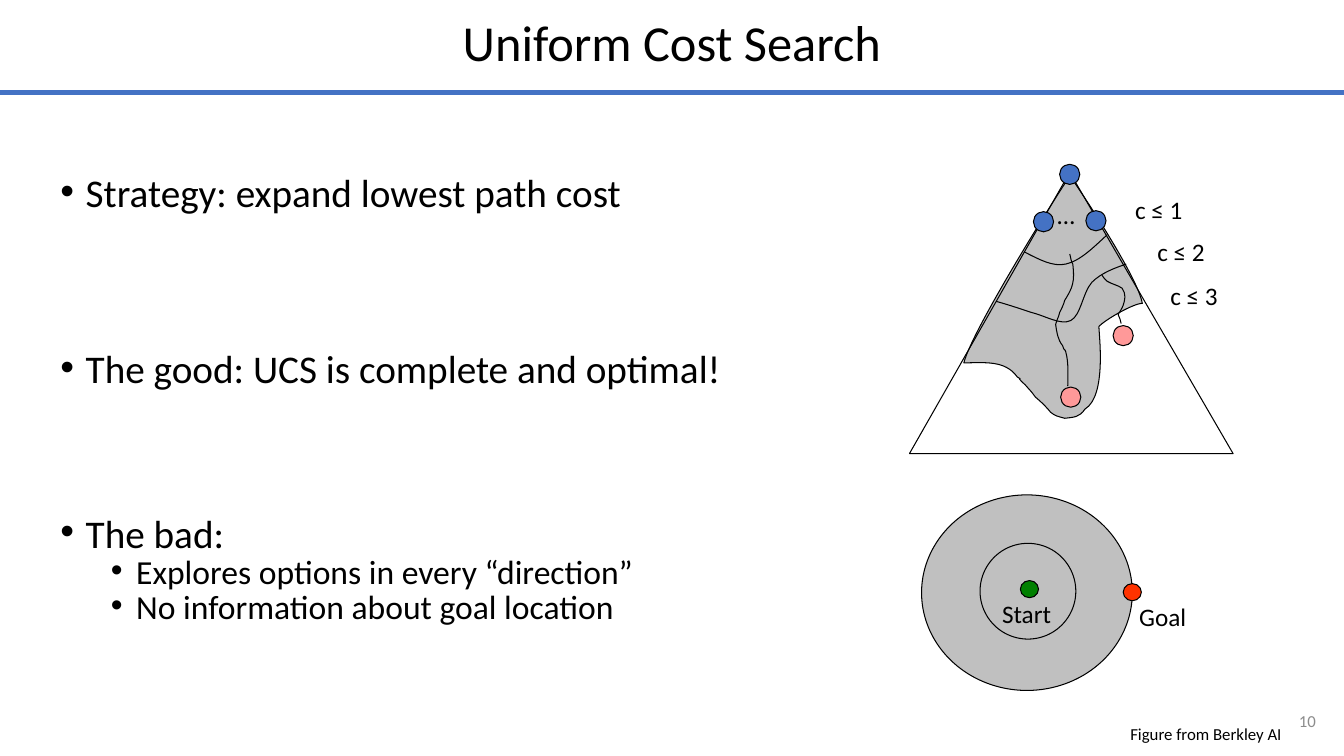
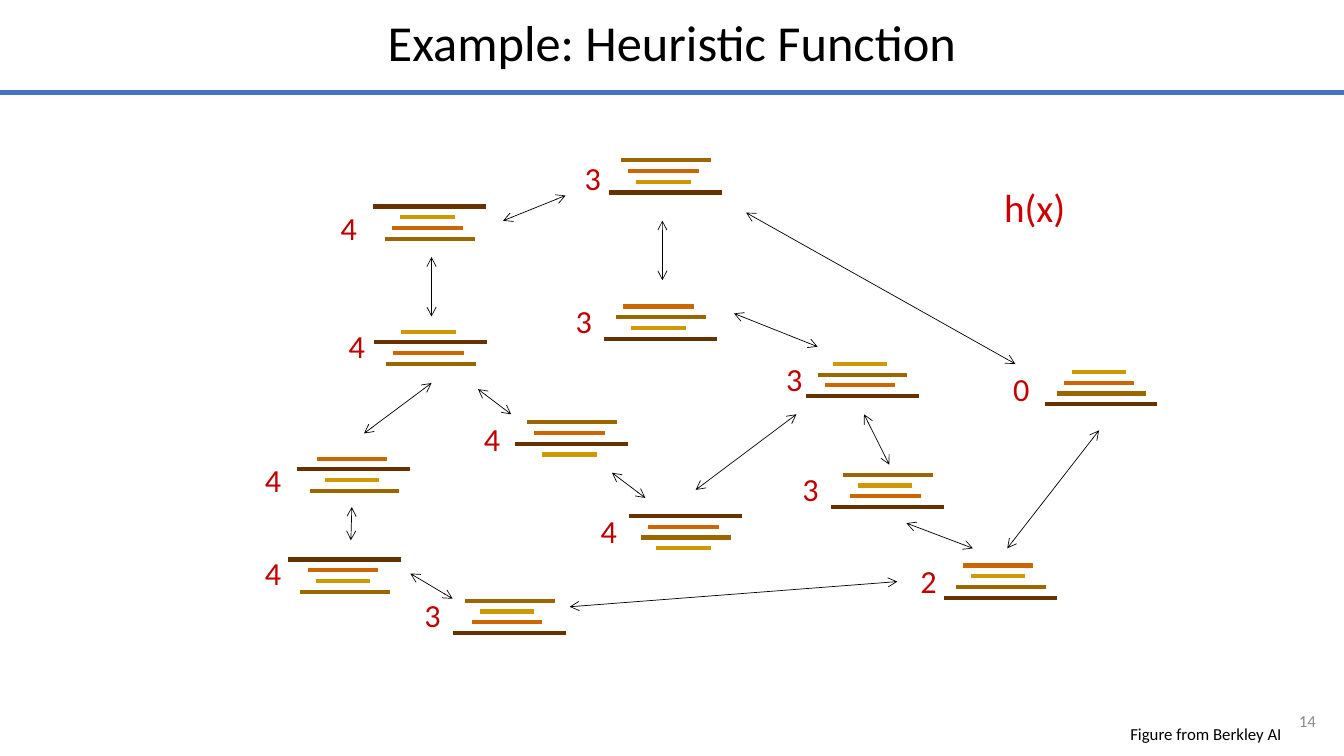
from lxml.etree import SubElement
from pptx import Presentation
from pptx.dml.color import RGBColor
from pptx.enum.shapes import MSO_CONNECTOR as Link, MSO_SHAPE as Form
from pptx.enum.text import MSO_ANCHOR as Anchor, MSO_AUTO_SIZE as Fit, PP_ALIGN as Align
from pptx.oxml.ns import qn
from pptx.util import Inches, Pt

WIDE, HIGH = 13.33, 7.5
FONT = "Calibri"
CREDIT = "Figure from Berkley AI"
HUES = {
    "ink": "000000", "page": "8C8C8C", "blue": "4472C4", "gray": "C0C0C0",
    "pink": "FF9999", "start": "008000", "goal": "FF3300", "cost": "C00000",
    "head": "CC0000", "base": "663300", "large": "996600", "mid": "CC6600",
    "small": "CC9900",
}

POINTS = [
    (0, "Strategy: expand lowest path cost", 0),
    (0, "The good: UCS is complete and optimal!", 102),
    (0, "The bad:", 94),
    (1, "Explores options in every “direction”", 5),
    (1, "No information about goal location", 5),
]
LEVELS = [(28, 0.25), (24, 0.75)]

TREE = [(9.02, 4.5), (12.23, 4.5), (10.61, 1.71), (9.02, 4.5)]
REGION = [
    (10.67, 1.83), (10.8, 2.02), (11.29, 2.77), (11.33, 3.01),
    (11.24, 3.01), (10.95, 3.18), (10.9, 3.24),
    (10.9, 3.32), (10.98, 3.93), (10.76, 4.06),
    (10.71, 4.14), (10.65, 4.14), (10.56, 4.15),
    (10.49, 4.13), (10.47, 4.13), (10.42, 4.09),
    (10.39, 4.05), (10.32, 3.98), (10.27, 3.94),
    (10.21, 3.86), (10.24, 3.9), (10.17, 3.82),
    (10.04, 3.7), (10.17, 3.79), (10.09, 3.74),
    (9.97, 3.57), (9.76, 3.6), (9.56, 3.6),
    (9.64, 3.29), (10.36, 2.13), (10.55, 1.84),
    (10.73, 1.55), (10.64, 1.83), (10.67, 1.83),
]
CURVES = [
    [(10.61, 2.52), (10.62, 2.55), (10.62, 2.59), (10.64, 2.62),
     (10.66, 2.8), (10.64, 2.85), (10.56, 2.98),
     (10.55, 3.02), (10.53, 3.06), (10.51, 3.1),
     (10.49, 3.17), (10.51, 3.11), (10.49, 3.16),
     (10.48, 3.18), (10.47, 3.22), (10.47, 3.22),
     (10.48, 3.29), (10.49, 3.37), (10.54, 3.43),
     (10.55, 3.44), (10.55, 3.45), (10.55, 3.46),
     (10.56, 3.47), (10.57, 3.48), (10.57, 3.49),
     (10.6, 3.6), (10.59, 3.7), (10.59, 3.83)],
    [(10.93, 2.73), (10.94, 2.75), (10.96, 2.77), (10.98, 2.79),
     (11.03, 2.82), (11.09, 2.83), (11.13, 2.86),
     (11.17, 2.92), (11.16, 2.97), (11.14, 3.03),
     (11.13, 3.06), (11.09, 3.12), (11.09, 3.12),
     (11.1, 3.15), (11.12, 3.18), (11.12, 3.21)],
    [(11.17, 2.62), (11.05, 2.66), (10.92, 2.71), (10.83, 2.8),
     (10.74, 2.9), (10.72, 3.13), (10.62, 3.18),
     (10.52, 3.23), (10.36, 3.13), (10.23, 3.1),
     (10.11, 3.06), (9.99, 3.02), (9.88, 2.99)],
    [(10.98, 2.33), (10.84, 2.46), (10.71, 2.59), (10.57, 2.62),
     (10.44, 2.65), (10.3, 2.57), (10.16, 2.5)],
]
RINGS = [(9.14, 4.91, 2.09, 1.94, "gray"), (9.72, 5.39, 0.95, 0.95, None)]
NODES = [
    (10.51, 1.63, "blue"), (10.25, 2.1, "blue"), (10.77, 2.09, "blue"),
    (11.04, 3.23, "pink"), (10.52, 3.84, "pink"),
]
ENDS = [(10.12, 5.76, "start"), (11.14, 5.79, "goal")]
LABELS = [
    ("Start", 9.84, 5.89, 1), ("Goal", 11.2, 5.92, 1), ("…", 10.39, 1.93, 0.3),
    ("c ≤ 1", 11.16, 1.88, 0.9), ("c ≤ 2", 11.38, 2.3, 0.9),
    ("c ≤ 3", 11.51, 2.73, 0.9),
]

DISCS = {
    "B": ("base", 0, 1.12), "L": ("large", 0.12, 0.89),
    "M": ("mid", 0.19, 0.7), "S": ("small", 0.27, 0.54),
}
STEP = 0.32 / 3
STACKS = [
    ("BSML", 3.7, 2.05, "4", 3.28, 2.02),
    ("SBML", 3.71, 3.29, "4", 3.36, 3.19),
    ("LMSB", 6.04, 1.59, "3", 5.7, 1.52),
    ("MBSL", 2.95, 4.55, "4", 2.53, 4.52),
    ("LMBS", 5.11, 4.19, "4", 4.7, 4.11),
    ("SMLB", 10.36, 3.69, "0", 9.95, 3.61),
    ("MLSB", 5.99, 3.04, "3", 5.61, 2.94),
    ("BMLS", 6.24, 5.12, "4", 5.86, 5.02),
    ("BMSL", 2.86, 5.55, "4", 2.53, 5.44),
    ("LSMB", 4.49, 5.96, "3", 4.11, 5.86),
    ("SLMB", 7.99, 3.61, "3", 7.7, 3.52),
    ("MSLB", 9.36, 5.61, "2", 9.03, 5.52),
    ("LSMB", 8.24, 4.71, "3", 7.86, 4.61),
]
MOVES = [
    (5.61, 1.94, 4.99, 2.19), (4.28, 3.14, 4.28, 2.55),
    (3.61, 4.3, 4.28, 3.8), (5.07, 4.11, 4.74, 3.86),
    (3.48, 5.36, 3.49, 5.03), (4.49, 5.94, 4.07, 5.69),
    (8.9, 5.77, 5.65, 6.02), (6.4, 4.94, 6.07, 4.69),
    (7.9, 4.11, 6.9, 4.86), (7.28, 3.11, 8.11, 3.44),
    (6.57, 2.19, 6.57, 2.78), (10.07, 3.61, 7.4, 2.11),
    (8.57, 4.11, 8.82, 4.61), (8.99, 5.19, 9.65, 5.44),
    (9.99, 5.44, 10.9, 4.27),
]


def tint(name):
    return RGBColor.from_string(HUES[name])


def place(shape, *box):
    shape.left, shape.top, shape.width, shape.height = map(Inches, box)


def style(para, size, hue="ink", align=Align.LEFT):
    para.alignment = align
    para.font.size = Pt(size)
    para.font.name = FONT
    para.font.color.rgb = tint(hue)


def write(slide, text, box, size, hue="ink", align=Align.LEFT, anchor=Anchor.TOP):
    frame = slide.shapes.add_textbox(*map(Inches, box)).text_frame
    frame.word_wrap = True
    frame.vertical_anchor = anchor
    para = frame.paragraphs[0]
    para.text = text
    style(para, size, hue, align)
    return para


def rule(slide, ends, hue, width, arrow=False):
    line = slide.shapes.add_connector(Link.STRAIGHT, *map(Inches, ends))
    line.line.color.rgb = tint(hue)
    line.line.width = Pt(width)
    props = line.element.spPr
    if arrow:
        for tag in ("a:headEnd", "a:tailEnd"):
            SubElement(props.find(qn("a:ln")), qn(tag), type="arrow")
    SubElement(props, qn("a:effectLst"))


def paint(shape, fill=None):
    shape.shadow.inherit = False
    if fill:
        shape.fill.solid()
        shape.fill.fore_color.rgb = tint(fill)
    else:
        shape.fill.background()
    shape.line.color.rgb = tint("ink")
    shape.line.width = Pt(0.75)


def oval(slide, x, y, w, h, fill):
    paint(slide.shapes.add_shape(Form.OVAL, *map(Inches, (x, y, w, h))), fill)


def trace(slide, knots, fill=None, close=False):
    dots = [(Inches(x), Inches(y)) for x, y in knots]
    pen = slide.shapes.build_freeform(*dots[0])
    pen.add_line_segments(dots[1:], close=close)
    shape = pen.convert_to_shape()
    paint(shape, fill)
    return shape


def bend(shape):
    track = next(shape.element.iter(qn("a:path")))
    legs = track.findall(qn("a:lnTo"))
    for first, *rest in zip(legs[::3], legs[1::3], legs[2::3]):
        first.tag = qn("a:cubicBezTo")
        for leg in rest:
            first.append(leg[0])
            track.remove(leg)


def start(deck, layout, title, page):
    slide = deck.slides.add_slide(deck.slide_layouts[layout])
    head = slide.shapes.title
    place(head, 0, -0.02, WIDE, 0.94)
    head.text_frame.vertical_anchor = Anchor.MIDDLE
    head.text_frame.auto_size = Fit.NONE
    para = head.text_frame.paragraphs[0]
    para.text = title
    para.line_spacing = 0.9
    style(para, 36, align=Align.CENTER)
    write(slide, page, (12.47, 6.95, 0.68, 0.4), 12, "page", Align.RIGHT, Anchor.MIDDLE)
    write(slide, CREDIT, (10.83, 7.15, 1.98, 0.27), 12, align=Align.RIGHT).line_spacing = 0.9
    rule(slide, (0, 0.92, WIDE, 0.92), "blue", 3.75)
    return slide


def fill_list(body):
    place(body, 0.5, 1.75, 7.83, 4.95)
    frame = body.text_frame
    frame.auto_size = Fit.NONE
    for i, (level, text, gap) in enumerate(POINTS):
        para = frame.add_paragraph() if i else frame.paragraphs[0]
        para.text = text
        para.level = level
        size, left = LEVELS[level]
        props = para._p.get_or_add_pPr()
        props.set("marL", str(Inches(left)))
        props.set("indent", str(Inches(-0.25)))
        SubElement(props, qn("a:buFont"), typeface="Arial")
        SubElement(props, qn("a:buChar"), char="•")
        para.line_spacing = 0.7
        para.space_before = Pt(gap)
        style(para, size)


def search(deck):
    slide = start(deck, 1, "Uniform Cost Search", "10")
    fill_list(slide.placeholders[1])
    bend(trace(slide, REGION, "gray", True))
    trace(slide, TREE, close=True)
    for knots in CURVES:
        bend(trace(slide, knots))
    for ring in RINGS:
        oval(slide, *ring)
    for x, y, hue in NODES:
        oval(slide, x, y, 0.2, 0.2, hue)
    for x, y, hue in ENDS:
        oval(slide, x, y, 0.18, 0.17, hue)
    for text, x, y, w in LABELS:
        write(slide, text, (x, y, w, 0.4), 18)


def hanoi(deck):
    slide = start(deck, 5, "Example: Heuristic Function", "14")
    for order, left, top, cost, x, y in STACKS:
        for row, key in enumerate(order):
            hue, inset, width = DISCS[key]
            level = top + row * STEP
            rule(slide, (left + inset, level, left + inset + width, level), hue, 3)
        write(slide, cost, (x, y, 0.33, 0.49), 23, "cost")
    for ends in MOVES:
        rule(slide, ends, "ink", 0.5, True)
    write(slide, "h(x)", (9.86, 1.77, 1.25, 0.57), 28, "head")


def main():
    deck = Presentation()
    deck.slide_width, deck.slide_height = Inches(WIDE), Inches(HIGH)
    search(deck)
    hanoi(deck)
    deck.save("out.pptx")


if __name__ == "__main__":
    main()
